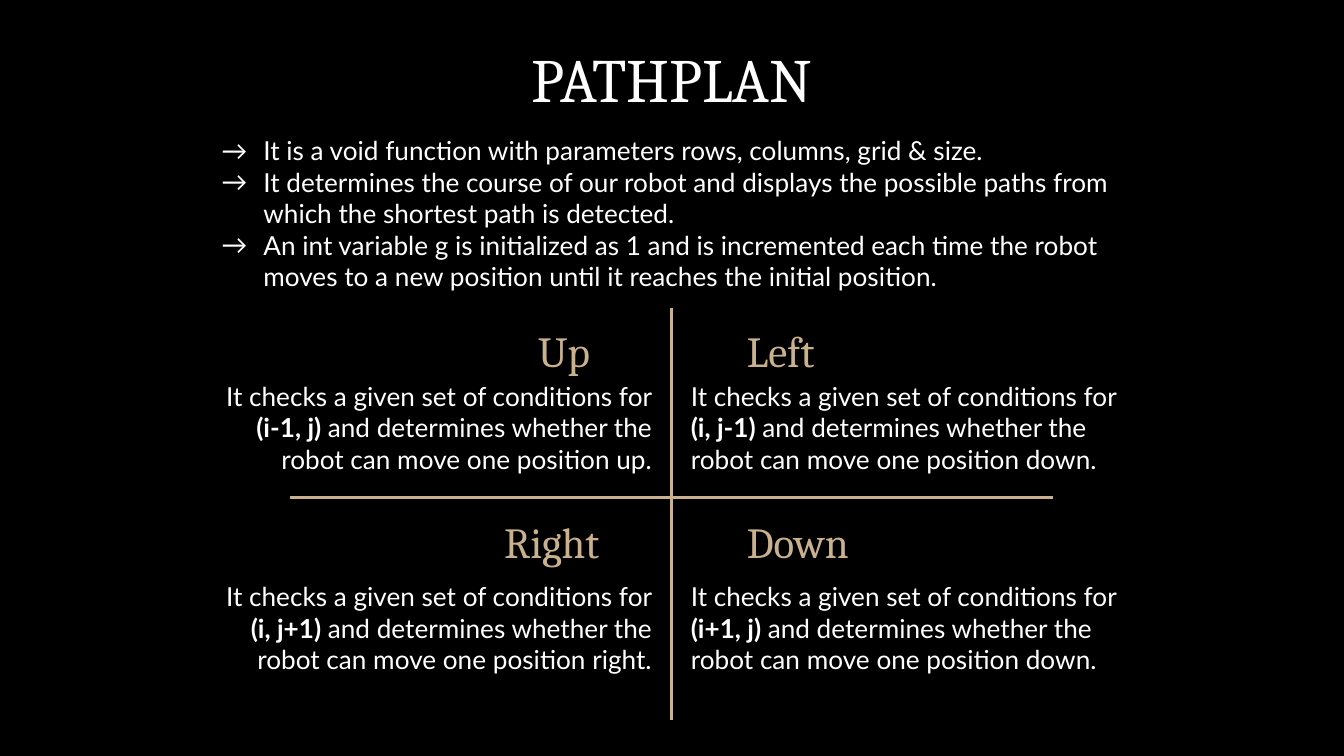
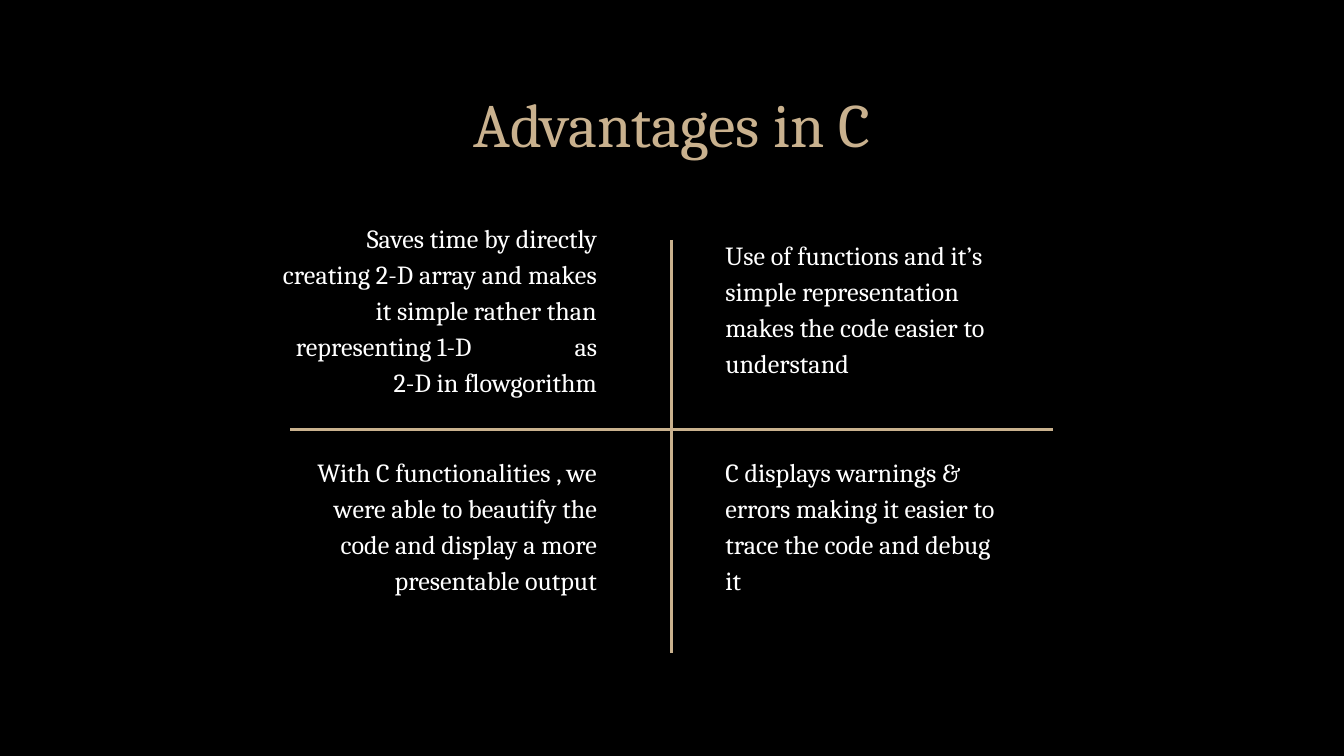
from lxml import etree
from pptx import Presentation
from pptx.dml.color import RGBColor
from pptx.enum.shapes import MSO_CONNECTOR as Connector
from pptx.enum.text import MSO_ANCHOR as Anchor, MSO_AUTO_SIZE as AutoSize, PP_ALIGN as Align
from pptx.oxml.ns import qn
from pptx.util import Pt

COLORS = {"background": "000000", "text": "FFFFFF", "gold": "C9B18E"}
SERIF, SANS = "Cambria", "Lato"
TITLE_SIZE, HEADING_SIZE, BODY_SIZE = 33, 23, 14
INSET = 7.2
BULLET_INDENT = 22.5


def rgb(name):
    return RGBColor.from_string(COLORS[name])


class Deck:
    """Holds the shared style and the slide being filled."""

    def __init__(self):
        self.prs = Presentation()
        self.prs.slide_width, self.prs.slide_height = Pt(720), Pt(405)
        self.slide = None

    def new_slide(self, title, box, color):
        self.slide = self.prs.slides.add_slide(self.prs.slide_layouts[5])
        fill = self.slide.background.fill
        fill.solid()
        fill.fore_color.rgb = rgb("background")
        holder = self.slide.shapes.title
        holder.left, holder.top, holder.width, holder.height = map(Pt, box)
        self.set_text(holder, [[(title, {})]], SERIF, TITLE_SIZE, color, Align.CENTER)

    def set_text(self, shape, paragraphs, font, size, color, align,
                 anchor=Anchor.TOP, spacing=1.0):
        """Fill a shape; each paragraph is a list of (text, options) runs."""
        frame = shape.text_frame
        frame.word_wrap, frame.auto_size = True, AutoSize.NONE
        frame.vertical_anchor = anchor
        frame.margin_left = frame.margin_right = Pt(INSET)
        frame.margin_top = frame.margin_bottom = Pt(INSET)
        for index, runs in enumerate(paragraphs):
            paragraph = frame.add_paragraph() if index else frame.paragraphs[0]
            paragraph.alignment, paragraph.line_spacing = align, spacing
            paragraph.space_before = paragraph.space_after = Pt(0)
            for words, options in runs:
                run = paragraph.add_run()
                run.text = words
                run.font.name, run.font.size = font, Pt(size)
                run.font.bold = options.get("bold", False)
                run.font.color.rgb = rgb(color)
                if "tracking" in options:
                    run.font._element.set("spc", str(options["tracking"] * 100))

    def text(self, box, paragraphs, *style, **layout):
        shape = self.slide.shapes.add_textbox(*map(Pt, box))
        self.set_text(shape, paragraphs, *style, **layout)
        return shape

    def serif_text(self, box, runs, size, color, align):
        self.text(box, [runs], SERIF, size, color, align,
                  anchor=Anchor.MIDDLE, spacing=1.15)

    def body(self, box, paragraphs, align):
        return self.text(box, paragraphs, SANS, BODY_SIZE, "text", align)

    def arrow_list(self, box, items):
        shape = self.body(box, [[(item, {})] for item in items], Align.LEFT)
        for paragraph in shape.text_frame.paragraphs:
            props = paragraph._p.get_or_add_pPr()
            props.set("marL", str(Pt(BULLET_INDENT)))
            props.set("indent", str(-Pt(BULLET_INDENT)))
            tint = etree.SubElement(props, qn("a:buClr"))
            etree.SubElement(tint, qn("a:srgbClr"), val=COLORS["text"])
            etree.SubElement(props, qn("a:buFont"), typeface=SANS)
            etree.SubElement(props, qn("a:buChar"), char="→")

    def cross(self, center_y, center_x=359.75):
        """Draw the gold lines that part the slide into four fields."""
        group = self.slide.shapes.add_group_shape()
        for ends in ((center_x, center_y - 101.75, center_x, center_y + 119.5),
                     (564, center_y, 155.5, center_y)):
            line = group.shapes.add_connector(Connector.STRAIGHT, *map(Pt, ends))
            line.line.color.rgb, line.line.width = rgb("gold"), Pt(1.5)
            etree.SubElement(line._element.spPr, qn("a:effectLst"))


def pathplan(deck):
    deck.new_slide("PATHPLAN", (218, 14.5, 284, 42.5), "text")
    deck.cross(266.5)
    deck.arrow_list((111.5, 65, 497.5, 90), [
        "It is a void function with parameters rows, columns, grid & size.",
        "It determines the course of our robot and displays the possible paths "
        "from which the shortest path is detected.",
        "An int variable g is initialized as 1 and is incremented each time the robot "
        "moves to a new position until it reaches the initial position.",
    ])
    columns = ((Align.RIGHT, 166.75, 111.5), (Align.LEFT, 393, 363))
    rows = ((166.25, 196.5, 53.5), (268.5, 304, 64))
    # Heading, cell checked, direction named in the sentence
    moves = ((("Up ", "(i-1, j) ", "up"), ("Left", "(i, j-1) ", "down")),
             (("Right", "(i, j+1) ", "right"), ("Down", "(i+1, j) ", "down")))
    for (heading_y, body_y, body_h), row in zip(rows, moves):
        for (align, heading_x, body_x), (heading, cell, way) in zip(columns, row):
            deck.serif_text((heading_x, heading_y, 161.5, 39),
                            [(heading, {})], HEADING_SIZE, "gold", align)
            deck.body((body_x, body_y, 245, body_h), [[
                ("It checks a given set of conditions for ", {}),
                (cell, {"bold": True}),
                (f"and determines whether the robot can move one position {way}.", {}),
            ]], align)


def advantages(deck):
    deck.new_slide("Advantages in C", (54.5, 39, 611, 45.5), "gold")
    deck.cross(230.25)
    points = (
        ((141, 126.75, 186, 76.5), Align.RIGHT, [
            ("Saves time by directly creating 2-D array and makes it simple "
             "rather than representing 1-D", {}),
            (" ", {"tracking": 52}),
            ("as 2-D in flowgorithm", {})]),
        ((381.5, 144.75, 161.5, 39), Align.LEFT, [
            ("Use of functions and it’s simple representation makes the code "
             "easier to understand", {})]),
        ((155.5, 257, 171.5, 47.5), Align.RIGHT, [
            ("With C functionalities , we were able to beautify the code and "
             "display a more presentable output", {})]),
        ((381.5, 261.25, 161.5, 39), Align.LEFT, [
            ("C displays warnings & errors making it easier to trace the code "
             "and debug it", {})]),
    )
    for box, align, runs in points:
        deck.serif_text(box, runs, BODY_SIZE, "text", align)


def main():
    deck = Deck()
    pathplan(deck)
    advantages(deck)
    deck.prs.save("out.pptx")


if __name__ == "__main__":
    main()
